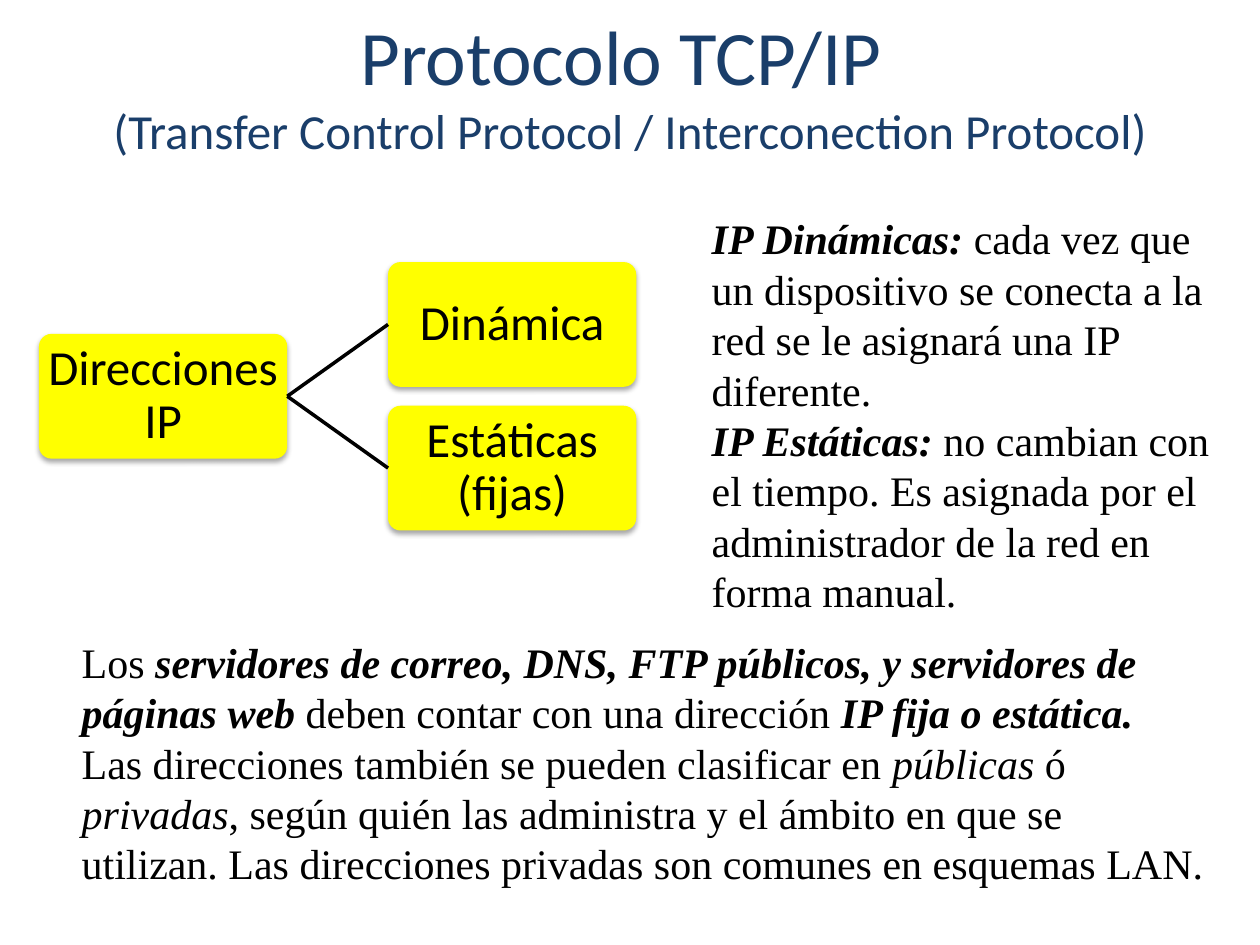
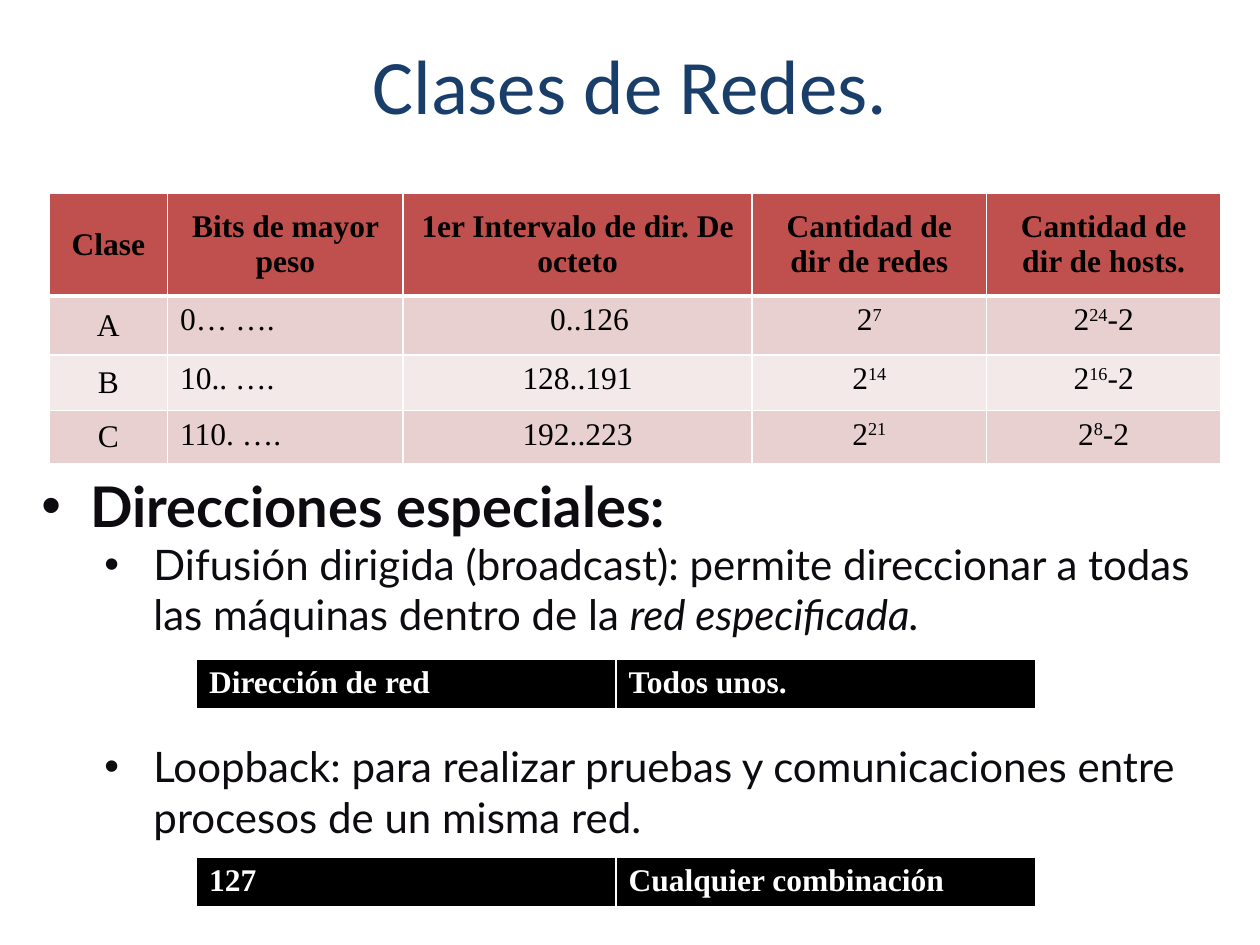
"""Builds two slides on TCP/IP addresses and network classes."""
from dataclasses import dataclass
from typing import NamedTuple

import lxml.etree
import pptx
import pptx.dml.color
import pptx.enum.shapes
import pptx.enum.text
import pptx.oxml.ns
import pptx.util

Pt, Inches = pptx.util.Pt, pptx.util.Inches
RGBColor = pptx.dml.color.RGBColor
ALIGN = pptx.enum.text.PP_ALIGN
ANCHOR = pptx.enum.text.MSO_ANCHOR
qn = pptx.oxml.ns.qn

WIDTH, HEIGHT = Inches(10), Inches(7.5)
COL, ROW = WIDTH // 100, HEIGHT // 75

NAVY = RGBColor(0x1A, 0x3E, 0x6A)
BLACK = RGBColor(0x00, 0x00, 0x00)
WHITE = RGBColor(0xFF, 0xFF, 0xFF)
INK = RGBColor(0x0D, 0x0A, 0x10)
YELLOW = RGBColor(0xFF, 0xFF, 0x00)
BRICK = RGBColor(0xC0, 0x50, 0x4D)
ROSE = RGBColor(0xE8, 0xD0, 0xD0)
BLUSH = RGBColor(0xF4, 0xE9, 0xE9)


class Box(NamedTuple):
    """Place of an object in grid columns and rows."""
    col: float
    row: float
    cols: float
    rows: float

    def emu(self) -> tuple[int, int, int, int]:
        """Return left, top, width and height as lengths."""
        return (int(self.col * COL), int(self.row * ROW),
                int(self.cols * COL), int(self.rows * ROW))


class Span(NamedTuple):
    """Stretch of text with one look."""
    text: str
    bold: bool = False
    italic: bool = False
    raised: bool = False


@dataclass(frozen=True)
class Style:
    """Typeface, size, colour and alignment of a paragraph."""
    font: str
    size: float
    color: RGBColor
    align: ALIGN = ALIGN.LEFT


@dataclass(frozen=True)
class Bullet:
    """Bulleted paragraph with its level, indent and space before."""
    spans: list[Span]
    style: Style
    level: int
    margin: float
    before: float = 0


@dataclass(frozen=True)
class Grid:
    """Table place, column widths, row heights and border look."""
    col: float
    row: float
    widths: list[float]
    heights: list[float]


TITLE = Style("Calibri", 44, NAVY, ALIGN.CENTER)
SUBTITLE = Style("Calibri", 28, NAVY, ALIGN.CENTER)
NODE = Style("Calibri", 28, BLACK, ALIGN.CENTER)
BODY = Style("Times New Roman", 24, BLACK)
CELL = Style("Times New Roman", 18, BLACK)
CELL_MID = Style("Times New Roman", 18, BLACK, ALIGN.CENTER)
CELL_WHITE = Style("Times New Roman", 18, WHITE)
HEADING = Style("Lato", 32, INK)
ITEM = Style("Lato", 24, INK)

TITLE_BOX = Box(0, 0, 100, 13.3)
NODE_COLS, NODE_ROWS = 19.7, 9.9
BULLET_HANG = 0.39


def strong(text: str) -> Span:
    """Return a bold italic span."""
    return Span(text, bold=True, italic=True)


def power(exponent: str, tail: str = "") -> list[Span]:
    """Return a power of two with an optional tail."""
    spans = [Span("2"), Span(exponent, raised=True)]
    return spans + [Span(tail)] if tail else spans


def write(p, spans: list[Span], style: Style) -> None:
    """Write spans into a paragraph."""
    p.alignment = style.align
    for span in spans:
        r = p.add_run()
        r.text = span.text
        r.font.name, r.font.size = style.font, Pt(style.size)
        r.font.color.rgb = style.color
        r.font.bold, r.font.italic = span.bold, span.italic
        if span.raised:
            r.font._element.set("baseline", "30000")


def paragraphs(tf, count: int) -> list:
    """Return the first paragraph followed by the added ones."""
    return [tf.paragraphs[0]] + [tf.add_paragraph() for _ in range(count - 1)]


def add_title_slide(prs, lines: list[tuple[str, Style]]):
    """Add a title-only slide with its title."""
    slide = prs.slides.add_slide(prs.slide_layouts[5])
    sp = slide.shapes.title
    sp.left, sp.top, sp.width, sp.height = TITLE_BOX.emu()
    tf = sp.text_frame
    tf.auto_size = pptx.enum.text.MSO_AUTO_SIZE.NONE
    tf.vertical_anchor = ANCHOR.MIDDLE
    for p, (text, style) in zip(paragraphs(tf, len(lines)), lines):
        write(p, [Span(text)], style)
    return slide


def add_text_frame(slide, box: Box):
    """Add a wrapping text box and return its frame."""
    tf = slide.shapes.add_textbox(*box.emu()).text_frame
    tf.word_wrap = True
    return tf


def add_body(slide, box: Box, content: list[list[Span]]) -> None:
    """Add a box of running text."""
    tf = add_text_frame(slide, box)
    for p, spans in zip(paragraphs(tf, len(content)), content):
        write(p, spans, BODY)


def add_bullets(slide, box: Box, bullets: list[Bullet]) -> None:
    """Add a bulleted list."""
    tf = add_text_frame(slide, box)
    for p, bullet in zip(paragraphs(tf, len(bullets)), bullets):
        p.level = bullet.level
        if bullet.before:
            p.space_before = Pt(bullet.before)
        pPr = p._p.get_or_add_pPr()
        pPr.set("marL", str(Inches(bullet.margin)))
        pPr.set("indent", str(-Inches(BULLET_HANG)))
        lxml.etree.SubElement(pPr, qn("a:buFont"), typeface="Arial")
        lxml.etree.SubElement(pPr, qn("a:buChar"), char="•")
        write(p, bullet.spans, bullet.style)


def add_shadow(sp) -> None:
    """Give a shape a soft shadow below it."""
    sp.shadow.inherit = False
    effects = sp._element.spPr.find(qn("a:effectLst"))
    shadow = lxml.etree.SubElement(
        effects, qn("a:outerShdw"), blurRad=str(Pt(3.1)), dist=str(Pt(1.8)),
        dir="5400000", rotWithShape="0")
    color = lxml.etree.SubElement(shadow, qn("a:srgbClr"), val=str(BLACK))
    lxml.etree.SubElement(color, qn("a:alpha"), val="35000")


def add_node(slide, col: float, row: float, text: str):
    """Add a yellow node of the address tree."""
    box = Box(col, row, NODE_COLS, NODE_ROWS)
    sp = slide.shapes.add_shape(
        pptx.enum.shapes.MSO_SHAPE.ROUNDED_RECTANGLE, *box.emu())
    sp.adjustments[0] = 0.1
    sp.fill.solid()
    sp.fill.fore_color.rgb = YELLOW
    sp.line.fill.background()
    add_shadow(sp)
    tf = sp.text_frame
    tf.word_wrap = True
    tf.vertical_anchor = ANCHOR.MIDDLE
    tf.margin_left = tf.margin_right = Inches(0.02)
    tf.margin_top = tf.margin_bottom = Inches(0.02)
    tf.paragraphs[0].line_spacing = 0.9
    write(tf.paragraphs[0], [Span(text)], NODE)
    return sp


def join(slide, parent, child) -> None:
    """Join a parent's right side to a child's left side."""
    line = slide.shapes.add_connector(
        pptx.enum.shapes.MSO_CONNECTOR.STRAIGHT, 0, 0, 0, 0)
    line.begin_connect(parent, 3)
    line.end_connect(child, 1)
    line.line.color.rgb = BLACK
    line.line.width = Pt(2)
    lxml.etree.SubElement(line._element.spPr, qn("a:effectLst"))


def add_grid(slide, grid: Grid):
    """Add an unstyled table of the given widths and heights."""
    box = Box(grid.col, grid.row, sum(grid.widths), sum(grid.heights))
    table = slide.shapes.add_table(
        len(grid.heights), len(grid.widths), *box.emu()).table
    table.first_row = table.horz_banding = False
    for column, width in zip(table.columns, grid.widths):
        column.width = int(width * COL)
    for row, height in zip(table.rows, grid.heights):
        row.height = int(height * ROW)
    return table


def fill_cell(cell, spans: list[Span], style: Style, fill: RGBColor,
              top: float = 1, bottom: float = 1, middle: bool = False) -> None:
    """Border, fill and write one cell."""
    tcPr = cell._tc.get_or_add_tcPr()
    for side, width in zip("LRTB", (1, 1, top, bottom)):
        ln = lxml.etree.SubElement(tcPr, qn(f"a:ln{side}"), w=str(Pt(width)))
        solid = lxml.etree.SubElement(ln, qn("a:solidFill"))
        lxml.etree.SubElement(solid, qn("a:srgbClr"), val=str(WHITE))
    cell.fill.solid()
    cell.fill.fore_color.rgb = fill
    cell.vertical_anchor = ANCHOR.MIDDLE if middle else ANCHOR.TOP
    write(cell.text_frame.paragraphs[0], spans, style)


def add_class_table(slide) -> None:
    """Add the table of network classes."""
    heads = ["Clase", "Bits de mayor peso", "1er Intervalo de dir. De octeto",
             "Cantidad de dir de redes", "Cantidad de dir de hosts."]
    classes = [("A", "0… ….", "0..126", "7", "24"),
               ("B", "10.. ….", "128..191", "14", "16"),
               ("C", "110. ….", "192..223", "21", "8")]
    table = add_grid(slide, Grid(3.9, 15.3, [9.4, 18.7, 27.7, 18.6, 18.6],
                                 [8.2, 4.7, 4.4, 4.2]))
    for c, head in enumerate(heads):
        fill_cell(table.cell(0, c), [Span(head, bold=True)], CELL_MID, BRICK,
                  bottom=3, middle=True)
    for i, (name, bits, interval, nets, hosts) in enumerate(classes, 1):
        row = [[Span(name)], [Span(bits)], [Span(interval)],
               power(nets), power(hosts, "-2")]
        for c, spans in enumerate(row):
            fill_cell(table.cell(i, c), spans, CELL if c == 1 else CELL_MID,
                      ROSE if i % 2 else BLUSH, top=3 if i == 1 else 1,
                      middle=c == 0)
    table.cell(1, 2).margin_left = Inches(0.29)


def add_address_bar(slide, row: float, parts: tuple[str, str]) -> None:
    """Add a black two-part address bar."""
    table = add_grid(slide, Grid(15.6, row, [33.3, 33.3], [4.1]))
    for c, part in enumerate(parts):
        fill_cell(table.cell(0, c), [Span(part, bold=True)], CELL_WHITE, BLACK,
                  bottom=3)


def build_protocol(prs) -> None:
    """Build the slide on the protocol and its addresses."""
    slide = add_title_slide(prs, [
        ("Protocolo TCP/IP ", TITLE),
        ("(Transfer Control Protocol / Interconection Protocol)", SUBTITLE)])
    root = add_node(slide, 3.1, 26.5, "Direcciones IP")
    for row, text in ((20.8, "Dinámica"), (32.2, "Estáticas (fijas)")):
        join(slide, root, add_node(slide, 30.8, row, text))
    add_body(slide, Box(55.5, 16.4, 42.2, 33.3), [
        [strong("IP Dinámicas: "),
         Span("cada vez que un dispositivo se conecta a la red se le asignará "
              "una IP diferente.")],
        [strong("IP Estáticas: "),
         Span("no cambian con el tiempo. Es asignada por el administrador de "
              "la red en forma manual.")]])
    add_body(slide, Box(5.5, 50, 91.4, 21.2), [
        [Span("Los "),
         strong("servidores de correo, DNS, FTP públicos, y servidores de "
                "páginas web "),
         Span("deben contar con una dirección "),
         strong("IP fija o estática.")],
        [Span("Las direcciones también se pueden clasificar en "),
         Span("públicas", italic=True), Span(" ó "),
         Span("privadas", italic=True),
         Span(", según quién las administra y el ámbito en que se utilizan. "
              "Las direcciones privadas son comunes en esquemas LAN.")]])


def build_classes(prs) -> None:
    """Build the slide on network classes and special addresses."""
    slide = add_title_slide(prs, [("Clases de Redes.", TITLE)])
    add_bullets(slide, Box(2.3, 36.9, 95.3, 36.1), [
        Bullet([Span("Direcciones especiales:", bold=True)], HEADING, 0, 0.39),
        Bullet([Span("Difusión dirigida (broadcast): permite direccionar a "
                     "todas las máquinas dentro de la "),
                Span("red especificada.", italic=True)], ITEM, 1, 0.89),
        Bullet([Span("Loopback: para realizar pruebas y comunicaciones entre "
                     "procesos de un misma red.")], ITEM, 1, 0.89, 58)])
    add_class_table(slide)
    add_address_bar(slide, 52.3, ("Dirección de red", "Todos unos."))
    add_address_bar(slide, 68, ("127", "Cualquier combinación"))


def main() -> None:
    """Build and save the presentation."""
    prs = pptx.Presentation()
    prs.slide_width, prs.slide_height = WIDTH, HEIGHT
    build_protocol(prs)
    build_classes(prs)
    prs.save("out.pptx")


if __name__ == "__main__":
    main()
